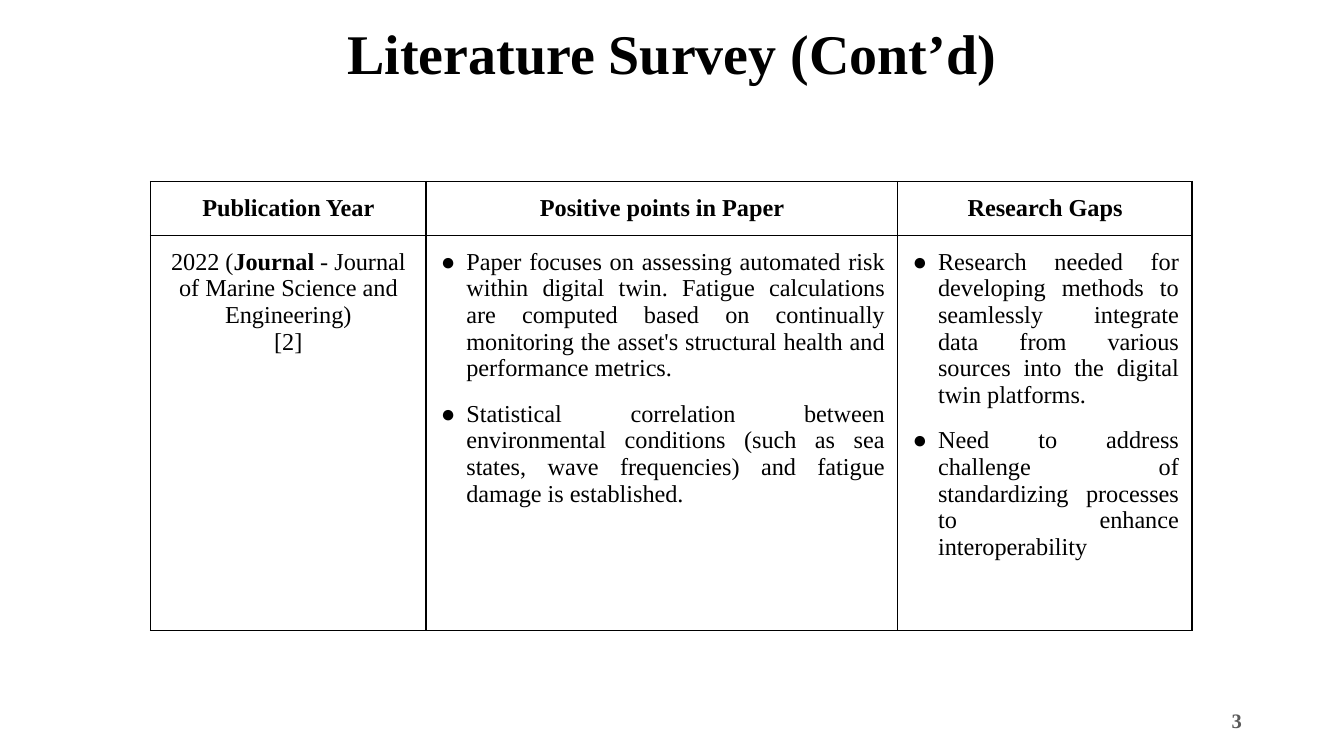
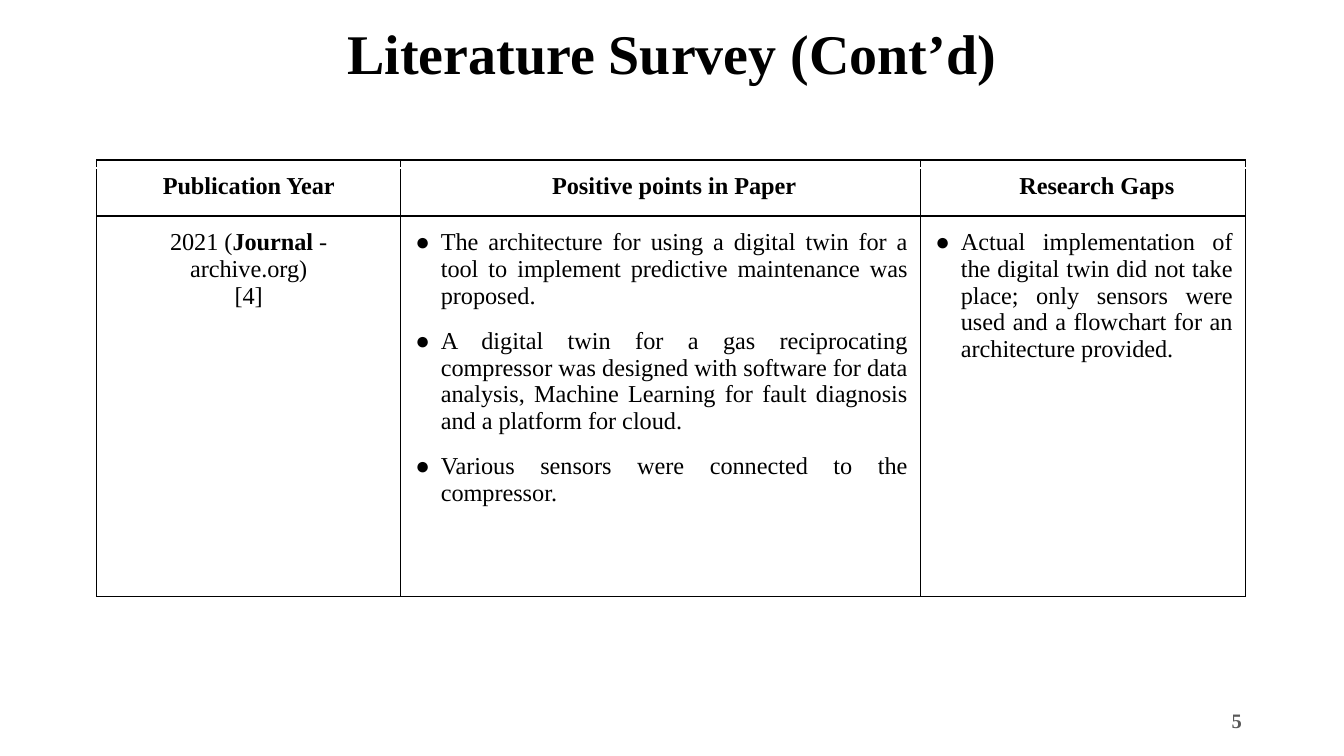
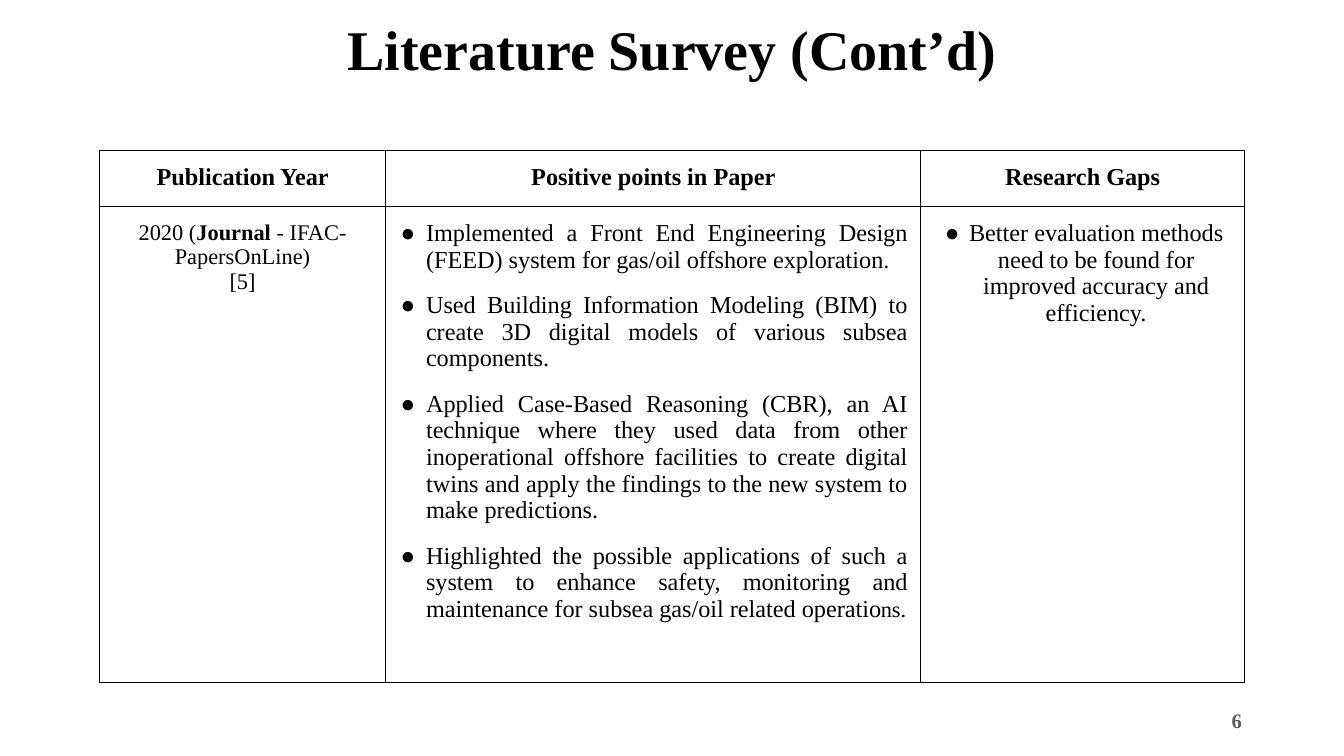
from lxml import etree
from pptx import Presentation
from pptx import util as u
from pptx.dml.color import RGBColor
from pptx.enum import text
from pptx.oxml import ns

PX = 4572
FONT = "Times New Roman"
COLORS = {"ink": "000000", "soft_ink": "0D0D0D", "number": "595959", "paper": "FFFFFF"}
HEADINGS = ["Publication Year", "Positive points in Paper", "Research Gaps"]
CENTER, JUSTIFY, RIGHT = text.PP_ALIGN.CENTER, text.PP_ALIGN.JUSTIFY, text.PP_ALIGN.RIGHT
BODY_SIZE = 13
HANG = 40

SURVEYS = [
    {
        "page": "3",
        "title_box": (138, 32, 1724, 218),
        "table_at": (224, 270),
        "columns": (410, 702, 438),
        "rows": (80, 588),
        "year": ("2022 (", "Journal", " - Journal of Marine Science and Engineering)", "[2]"),
        "points": [
            "Paper focuses on assessing automated risk within digital twin. Fatigue calculations are computed based on continually monitoring the asset's structural health and performance metrics.",
            "Statistical correlation between environmental conditions (such as sea states, wave frequencies) and fatigue damage is established.",
        ],
        "gaps": [
            "Research needed for developing methods to seamlessly integrate data from various sources into the digital twin platforms.",
            "Need to address challenge of standardizing processes to enhance interoperability",
        ],
    },
    {
        "page": "5",
        "title_box": (138, 32, 1724, 218),
        "table_at": (144, 238),
        "columns": (452, 774, 484),
        "rows": (76, 566),
        "heading_indent": HANG,
        "year": ("2021 (", "Journal ", "- archive.org)", "[4]"),
        "points": [
            "The architecture for using a digital twin for a tool to implement predictive maintenance was proposed.",
            "A digital twin for a gas reciprocating compressor was designed with software for data analysis, Machine Learning for fault diagnosis and a platform for cloud.",
            "Various sensors were connected to the compressor.",
        ],
        "gaps": [
            "Actual implementation of the digital twin did not take place; only sensors were used and a flowchart for an architecture provided.",
        ],
    },
    {
        "page": "6",
        "title_box": (138, 26, 1724, 138),
        "table_at": (148, 224),
        "columns": (426, 796, 482),
        "rows": (76, 708),
        "year": ("2020 (", "Journal", " - IFAC-PapersOnLine)", "[5]"),
        "year_size": 12,
        "points": [
            "Implemented a Front End Engineering Design (FEED) system for gas/oil offshore exploration.",
            "Used Building Information Modeling (BIM) to create 3D digital models of various subsea components.",
            "Applied Case-Based Reasoning (CBR), an AI technique where they used data from other inoperational offshore facilities to create digital twins and apply the findings to the new system to make predictions.",
            "Highlighted the possible applications of such a system to enhance safety, monitoring and maintenance for subsea gas/oil related operatio",
        ],
        "points_ending": "ns.",
        "gaps": [
            "Better evaluation methods need to be found for improved accuracy and efficiency.",
        ],
        "gaps_style": {"align": CENTER, "hang": 36, "bullet_color": "soft_ink"},
    },
]


def px(length):
    return u.Emu(length * PX)


def add_words(paragraph, words, size=BODY_SIZE, bold=False, color="ink"):
    run = paragraph.add_run()
    run.text = words
    run.font.name = FONT
    run.font.size = u.Pt(size)
    run.font.bold = bold
    run.font.color.rgb = RGBColor.from_string(COLORS[color])


def add_bullet(paragraph, hang, color):
    properties = paragraph._p.get_or_add_pPr()
    properties.set("marL", str(px(HANG)))
    properties.set("indent", str(-px(hang)))
    tint = etree.SubElement(properties, ns.qn("a:buClr"))
    etree.SubElement(tint, ns.qn("a:srgbClr"), val=COLORS[color])
    etree.SubElement(properties, ns.qn("a:buFont"), typeface=FONT)
    etree.SubElement(properties, ns.qn("a:buChar"), char="●")


def frame_cell(cell):
    properties = cell._tc.get_or_add_tcPr()
    for side in ("lnL", "lnR", "lnT", "lnB"):
        border = etree.SubElement(properties, ns.qn(f"a:{side}"), w=str(u.Pt(0.75)))
        fill = etree.SubElement(border, ns.qn("a:solidFill"))
        etree.SubElement(fill, ns.qn("a:srgbClr"), val=COLORS["ink"])
    cell.fill.background()
    cell.margin_left = cell.margin_right = cell.margin_top = cell.margin_bottom = px(20)


def fill_heading(cell, heading, indent):
    paragraph = cell.text_frame.paragraphs[0]
    paragraph.alignment = CENTER
    if indent:
        properties = paragraph._p.get_or_add_pPr()
        properties.set("marL", str(px(indent)))
        properties.set("indent", "0")
    add_words(paragraph, heading, bold=True)


def fill_year(cell, year, size):
    opening, kind, source, reference = year
    citation = cell.text_frame.paragraphs[0]
    add_words(citation, opening, size)
    add_words(citation, kind, size, bold=True)
    add_words(citation, source, size)
    number = cell.text_frame.add_paragraph()
    add_words(number, reference, size)
    citation.alignment = number.alignment = CENTER


def fill_list(cell, items, align=JUSTIFY, hang=38, bullet_color="ink", ending=""):
    frame = cell.text_frame
    for index, item in enumerate(items):
        paragraph = frame.add_paragraph() if index else frame.paragraphs[0]
        add_bullet(paragraph, hang, bullet_color)
        paragraph.alignment = align
        if index:
            paragraph.space_before = u.Pt(10)
        add_words(paragraph, item)
    paragraph.space_after = u.Pt(10)
    if ending:
        add_words(paragraph, ending, size=12)


def add_survey_table(slide, survey):
    columns, rows = survey["columns"], survey["rows"]
    left, top = survey["table_at"]
    table = slide.shapes.add_table(
        len(rows), len(columns), px(left), px(top), px(sum(columns)), px(sum(rows))
    ).table
    table.first_row = table.horz_banding = False
    for column, width in zip(table.columns, columns):
        column.width = px(width)
    for row, height in zip(table.rows, rows):
        row.height = px(height)
    for cell in table.iter_cells():
        frame_cell(cell)
    for index, heading in enumerate(HEADINGS):
        indent = survey.get("heading_indent", 0) if index else 0
        fill_heading(table.cell(0, index), heading, indent)
    fill_year(table.cell(1, 0), survey["year"], survey.get("year_size", BODY_SIZE))
    fill_list(table.cell(1, 1), survey["points"], ending=survey.get("points_ending", ""))
    fill_list(table.cell(1, 2), survey["gaps"], **survey.get("gaps_style", {}))


def add_line_box(slide, box, words, size, align, anchor, color):
    line_box = slide.shapes.add_textbox(*map(px, box))
    frame = line_box.text_frame
    frame.word_wrap = True
    frame.vertical_anchor = anchor
    frame.margin_left = frame.margin_right = px(14)
    frame.margin_top = frame.margin_bottom = px(7)
    paragraph = frame.paragraphs[0]
    paragraph.alignment = align
    add_words(paragraph, words, size, bold=True, color=color)
    return line_box


def add_page_number(slide, page):
    add_line_box(slide, (1412, 1042, 450, 60), page, 11, RIGHT, text.MSO_ANCHOR.MIDDLE, "number")


def add_title(slide, box):
    title = add_line_box(
        slide, box, "Literature Survey (Cont’d)", 30, CENTER, text.MSO_ANCHOR.TOP, "ink"
    )
    title.line.color.rgb = RGBColor.from_string(COLORS["paper"])
    title.line.width = u.Pt(0.75)
    title.text_frame.paragraphs[0].line_spacing = 0.9


def add_survey_slide(deck, survey):
    slide = deck.slides.add_slide(deck.slide_layouts[6])
    add_survey_table(slide, survey)
    add_page_number(slide, survey["page"])
    add_title(slide, survey["title_box"])


def main():
    deck = Presentation()
    deck.slide_width, deck.slide_height = px(2000), px(1125)
    for survey in SURVEYS:
        add_survey_slide(deck, survey)
    deck.save("out.pptx")


if __name__ == "__main__":
    main()
